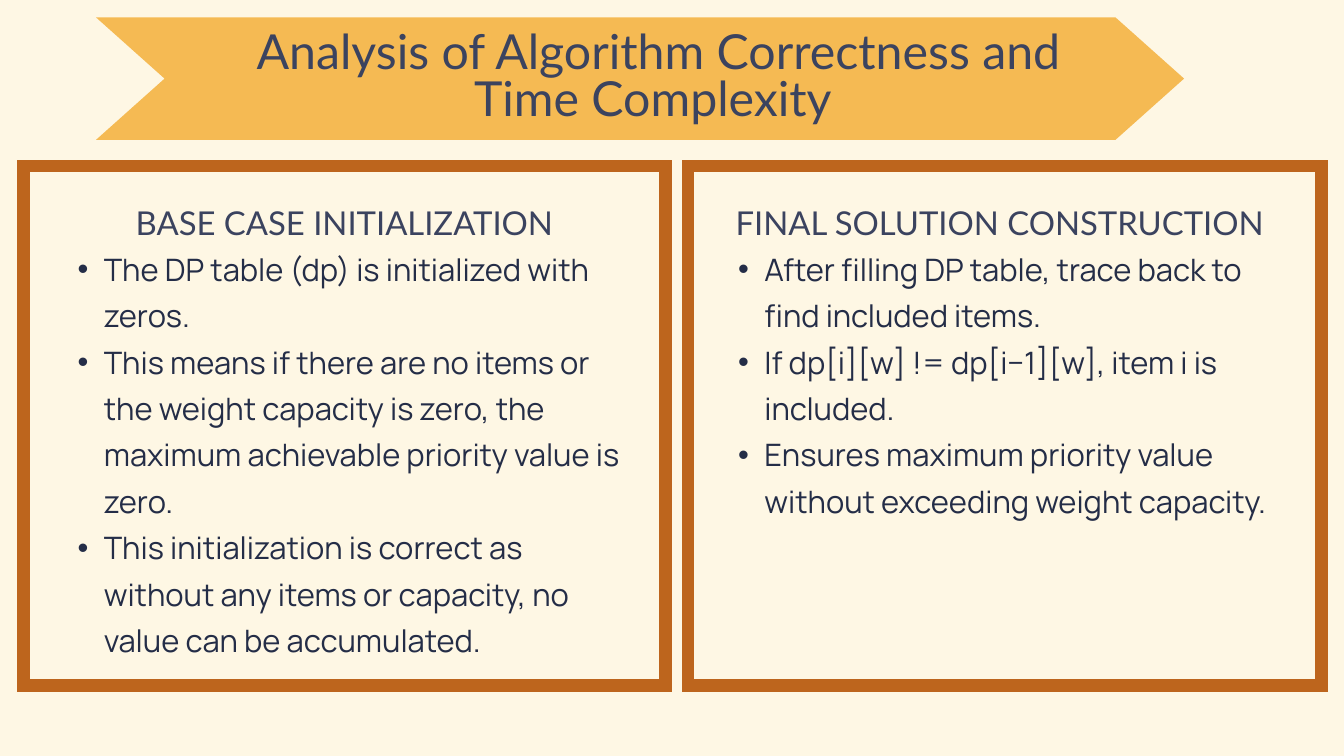
from lxml import etree
from pptx import Presentation
from pptx.dml.color import RGBColor
from pptx.enum.shapes import MSO_SHAPE as Shape
from pptx.enum.text import PP_ALIGN as Align
from pptx.oxml.ns import qn
from pptx.util import Inches, Pt

CREAM = RGBColor(0xFE, 0xF7, 0xE4)
GOLD = RGBColor(0xF5, 0xBA, 0x53)
RUST = RGBColor(0xBD, 0x65, 0x1D)
SLATE = RGBColor(0x3B, 0x43, 0x5F)
NAVY = RGBColor(0x24, 0x2D, 0x47)

TITLE = "Analysis of Algorithm Correctness and Time Complexity "
BASE = [
    "The DP table (dp) is initialized with zeros.",
    "This means if there are no items or the weight capacity is zero, "
    "the maximum achievable priority value is zero.",
    "This initialization is correct as without any items or capacity, "
    "no value can be accumulated.",
]
FINAL = [
    "After filling DP table, trace back to find included items.",
    "If dp[i][w] != dp[i−1][w], item i is included.",
    "Ensures maximum priority value without exceeding weight capacity.",
]


def add_block(slide, kind, x, y, w, h, fill):
    block = slide.shapes.add_shape(kind, Inches(x), Inches(y), Inches(w), Inches(h))
    block.shadow.inherit = False
    block.fill.solid()
    block.fill.fore_color.rgb = fill
    block.line.fill.background()
    return block


def add_bullet(para):
    props = para._p.get_or_add_pPr()
    props.set("marL", str(Inches(0.78)))
    props.set("indent", str(Inches(-0.39)))
    font = etree.SubElement(props, qn("a:buFont"))
    font.set("typeface", "Arial")
    etree.SubElement(props, qn("a:buChar")).set("char", "•")


def add_text(slide, x, y, w, h, lines, face, size, color, pitch, bullet=False):
    box = slide.shapes.add_textbox(Inches(x), Inches(y), Inches(w), Inches(h))
    frame = box.text_frame
    frame.word_wrap = True
    frame.margin_left = frame.margin_right = 0
    frame.margin_top = frame.margin_bottom = 0
    frame.text = "\n".join(lines)
    for para in frame.paragraphs:
        para.line_spacing = Pt(pitch)
        if bullet:
            add_bullet(para)
        else:
            para.alignment = Align.CENTER
        for run in para.runs:
            run.font.name = face
            run.font.size = Pt(size)
            run.font.color.rgb = color


def add_banner(slide, x, y, w, h):
    arrow = add_block(slide, Shape.CHEVRON, x, y, w, h, GOLD)
    arrow.adjustments[0] = 0.56
    add_text(slide, x + 1.54, y + 0.22, 13.66, 1.43, [TITLE],
             "Lato", 51.7, SLATE, 50.1)


def add_panel(slide, x, y, w, h, pad, head, items):
    # Frame with square corners
    panel = add_block(slide, Shape.RECTANGLE, x, y, w, h, CREAM)
    panel.line.color.rgb = RUST
    panel.line.width = Pt(13.5)
    etree.SubElement(panel.line._ln, qn("a:miter")).set("lim", "800000")

    # Heading, then bullets centred in the frame
    add_text(slide, x + pad, y + 0.66, 9.27, 0.5, [head],
             "Lato", 35.2, SLATE, 34.2)
    wide = 8.72
    add_text(slide, x + (w - wide) / 2, y + 1.12, wide, 6.18, items,
             "Manrope", 33.1, NAVY, 49.7, bullet=True)


def main():
    deck = Presentation()
    deck.slide_width, deck.slide_height = Inches(20), Inches(11.25)
    slide = deck.slides.add_slide(deck.slide_layouts[6])
    slide.background.fill.solid()
    slide.background.fill.fore_color.rgb = CREAM

    add_banner(slide, 1.43, 0.26, 16.19, 1.82)
    add_panel(slide, 0.35, 2.47, 9.55, 7.73, 0.14,
              "BASE CASE INITIALIZATION", BASE)
    add_panel(slide, 10.24, 2.47, 9.43, 7.73, 0,
              "FINAL SOLUTION CONSTRUCTION", FINAL)
    deck.save("out.pptx")


if __name__ == "__main__":
    main()
